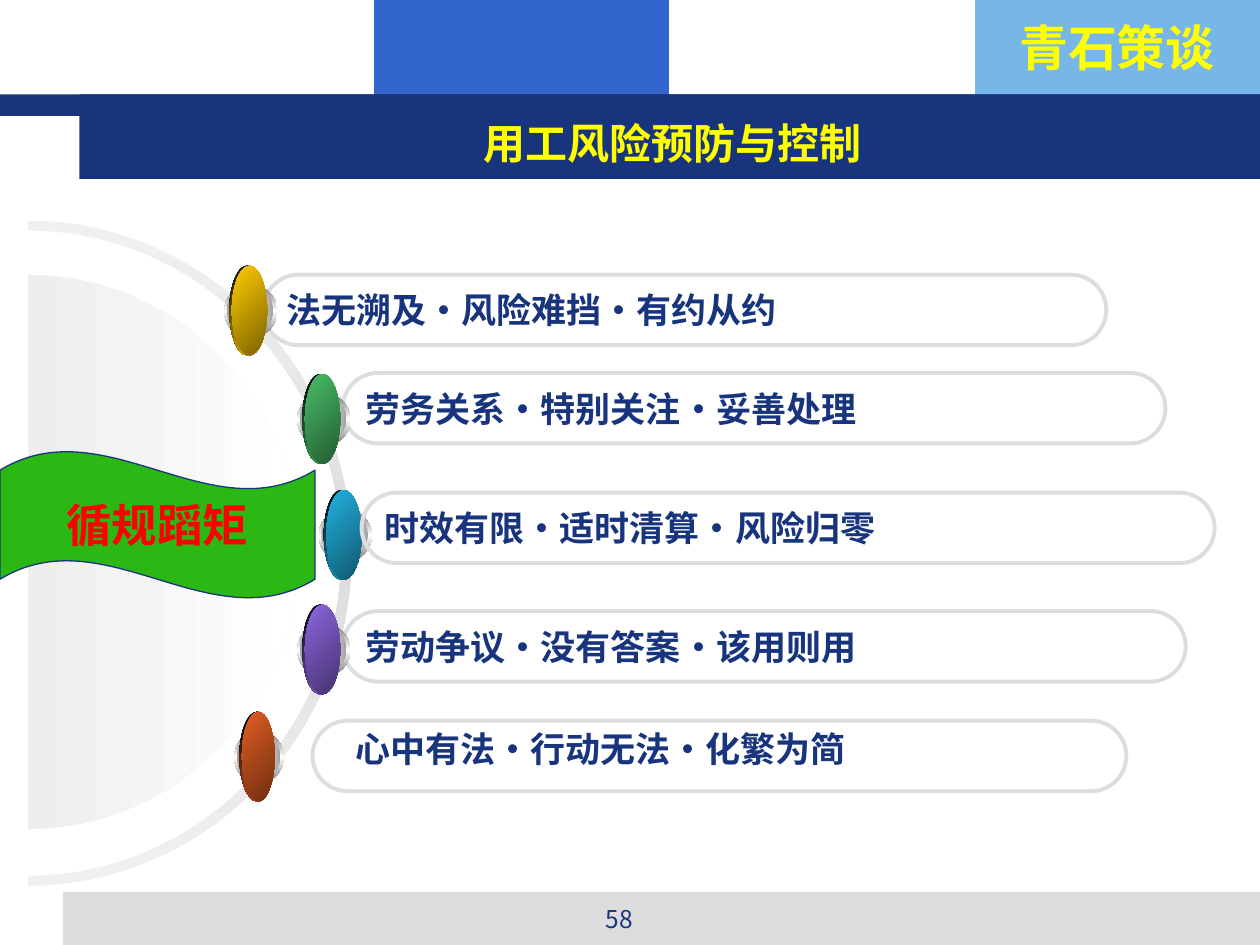
from lxml import etree
from pptx import Presentation
from pptx import util as u
from pptx.dml.color import RGBColor
from pptx.enum import shapes, text
from pptx.oxml.ns import qn

FONT = "Noto Sans CJK SC"
COLORS = {
    "navy": "17347D", "blue": "3366CC", "sky": "77B7E7", "grey": "DDDDDD",
    "pale": "F0F0F0", "mist": "EEEEEE", "white": "FFFFFF", "black": "000000",
    "yellow": "FFFF00", "red": "FF0000", "green": "2BB814",
    "steel": "767676", "silver": "A2A2A2", "lilac": "9999FF", "dusk": "53538A",
}
# text, bar (left, top, width), bead (left, top, share of width), colour, shade
TOPICS = [
    ("心中有法·行动无法·化繁为简", (2.48, 5.72, 6.46), (1.86, 5.80, 0.93), "E35E23", "6E2E11"),
    ("劳动争议·没有答案·该用则用", (2.72, 4.85, 6.69), (2.36, 4.95, 1), "8D67E1", "45326D"),
    ("劳务关系·特别关注·妥善处理", (2.72, 2.96, 6.53), (2.36, 3.12, 1), "48BE67", "235C32"),
    ("时效有限·适时清算·风险归零", (2.87, 3.91, 6.77), (2.53, 4.04, 1), "21B3E1", "10576D"),
    ("法无溯及·风险难挡·有约从约", (2.09, 2.18, 6.69), (1.78, 2.26, 1), "FFCC00", "7C6300"),
]
BAR_HEIGHT = 0.56
ARC_LEFT = 0.22
ROUNDNESS = 0.55  # control-point share that turns a curve into a quarter ellipse


def rgb(name):
    return RGBColor.from_string(COLORS.get(name, name))


def paint(shape, fill=None, line=None, line_width=0.75):
    """Solid fill and outline; None leaves either of them out."""
    shape.shadow.inherit = False
    if fill:
        shape.fill.solid()
        shape.fill.fore_color.rgb = rgb(fill)
    else:
        shape.fill.background()
    if line:
        shape.line.color.rgb = rgb(line)
        shape.line.width = u.Pt(line_width)
    else:
        shape.line.fill.background()


def paint_gradient(shape, stops, angle):
    """Evenly spaced colour stops, angle clockwise in degrees."""
    paint(shape)
    shape.fill.gradient()
    shape.fill.gradient_angle = (360 - angle) % 360
    stop_list = shape._element.spPr.find(".//" + qn("a:gsLst"))
    for old in list(stop_list):
        stop_list.remove(old)
    for i, name in enumerate(stops):
        stop = etree.SubElement(stop_list, qn("a:gs"),
                                pos=str(100000 * i // (len(stops) - 1)))
        etree.SubElement(stop, qn("a:srgbClr"), val=COLORS.get(name, name))


def add_preset(parent, kind, left, top, width, height):
    return parent.add_shape(kind, *map(u.Inches, (left, top, width, height)))


def write(shape, words, size, color, align=text.PP_ALIGN.CENTER, bold=True,
          wrap=True, font=FONT):
    frame = shape.text_frame
    frame.word_wrap = wrap
    frame.auto_size = text.MSO_AUTO_SIZE.NONE
    frame.vertical_anchor = text.MSO_ANCHOR.MIDDLE
    paragraph = frame.paragraphs[0]
    paragraph.text = words
    paragraph.alignment = align
    paragraph.font.size = u.Pt(size)
    paragraph.font.bold = bold
    paragraph.font.color.rgb = rgb(color)
    paragraph.font.name = font
    defaults = paragraph._p.find(".//" + qn("a:defRPr"))
    etree.SubElement(defaults, qn("a:ea"), typeface=font)


def add_label(slide, box, *args, **kwargs):
    label = slide.shapes.add_textbox(*map(u.Inches, box))
    write(label, *args, **kwargs)


def add_band(slide, box, color):
    paint(add_preset(slide.shapes, shapes.MSO_SHAPE.RECTANGLE, *box), color)


def half_arc(rx, ry, middle):
    """Start and two curves of the right half of an ellipse, top to bottom."""
    x, far = ARC_LEFT, ARC_LEFT + rx
    kx, ky = rx * ROUNDNESS, ry * ROUNDNESS
    return [(x, middle - ry),
            (x + kx, middle - ry), (far, middle - ky), (far, middle),
            (far, middle + ky), (x + kx, middle + ry), (x, middle + ry)]


def add_curved(slide, *arcs):
    """Closed outline of arcs joined by straight lines."""
    points = [(u.Inches(x), u.Inches(y)) for arc in arcs for x, y in arc]
    builder = slide.shapes.build_freeform(*points[0])
    builder.add_line_segments(points[1:], close=True)
    outline = builder.convert_to_shape()
    path = outline._element.spPr.find(".//" + qn("a:path"))
    steps = list(path)
    for first in range(0, len(points), 7):  # seven points to an arc
        for start in (first + 1, first + 4):
            curve = etree.Element(qn("a:cubicBezTo"))
            steps[start].addprevious(curve)
            for step in steps[start:start + 3]:
                curve.append(step[0])
                path.remove(step)
    return outline


def add_bead(slide, left, top, share, color, shade):
    bead = slide.shapes.add_group_shape()
    layers = [
        (0, 0, 0.42 * share, 0.42, ("steel", "white", "steel"), 90),
        (0.02, 0.02, 0.37 * share, 0.37, ("silver", "white", "silver"), 0),
        (0.04, -0.15, 0.28, 0.71, ("white", "lilac", "white"), 45),
        (0.04, -0.15, 0.28, 0.71, ("black", color), 45),
        (0.06, -0.15, 0.28 * share, 0.71, ("dusk", "lilac", "dusk"), 315),
        (0.06, -0.15, 0.28 * share, 0.71, (color, shade), 45),
    ]
    for dx, dy, width, height, stops, angle in layers:
        oval = add_preset(bead.shapes, shapes.MSO_SHAPE.OVAL,
                          left + dx, top + dy, width, height)
        paint_gradient(oval, stops, angle)


def add_bar(slide, left, top, width):
    bar = add_preset(slide.shapes, shapes.MSO_SHAPE.ROUNDED_RECTANGLE,
                     left, top, width, BAR_HEIGHT)
    bar.adjustments[0] = 0.5
    paint(bar, line="grey", line_width=2.25)
    return bar


def place_title(slide, words):
    title = slide.shapes.title
    title.left, title.top, title.width, title.height = map(
        u.Inches, (1.42, 0.67, 7.83, 0.92))
    write(title, words, 24, "yellow")
    # Bring the title in front of the header bands
    title._element.getparent().append(title._element)


def main():
    deck = Presentation()
    deck.slide_width, deck.slide_height = u.Inches(10), u.Inches(7.5)
    slide = deck.slides.add_slide(deck.slide_layouts[5])

    # Header and footer bands
    add_band(slide, (0.5, 7.08, 9.5, 0.42), "grey")
    add_band(slide, (7.74, 0, 2.26, 0.92), "sky")
    add_band(slide, (2.97, 0, 2.34, 0.92), "blue")
    add_band(slide, (0, 0.75, 10, 0.17), "navy")
    add_band(slide, (0.63, 0.75, 9.37, 0.67), "navy")
    add_label(slide, (7.74, 0.09, 2.25, 0.57), "青石策谈", 28, "yellow",
              font="Noto Sans CJK JP")

    # Half ring and half disc
    ring = add_curved(slide, half_arc(2.57, 2.64, 4.39),
                      half_arc(2.49, 2.56, 4.39)[::-1])
    paint_gradient(ring, ("pale", "grey", "pale"), 90)
    disc = add_curved(slide, half_arc(2.15, 2.2, 4.38))
    paint_gradient(disc, ("mist", "white"), 0)

    # Topics: one bar reaches over its bead, the others lie under theirs
    for words, bar_box, bead_at, color, shade in TOPICS:
        over_bead = words.startswith("时效")
        if over_bead:
            add_bead(slide, *bead_at, color, shade)
        bar = add_bar(slide, *bar_box)
        if words.startswith("心中"):
            add_label(slide, (2.72, 5.72, 6.2, 0.44), words, 20, "navy",
                      text.PP_ALIGN.LEFT)
        else:
            write(bar, words, 20, "navy", text.PP_ALIGN.LEFT, wrap=False)
        if not over_bead:
            add_bead(slide, *bead_at, color, shade)

    # Motto flag
    flag = add_preset(slide.shapes, shapes.MSO_SHAPE.WAVE, 0, 3.58, 2.5, 1.17)
    flag.adjustments[0] = 0.13
    paint(flag, "green", "navy")
    write(flag, "循规蹈矩", 26, "red")

    # Title and page number
    place_title(slide, "用工风险预防与控制")
    add_label(slide, (3.75, 7.12, 2.33, 0.34), "58", 14, "navy", bold=False)

    deck.save("out.pptx")


if __name__ == "__main__":
    main()
